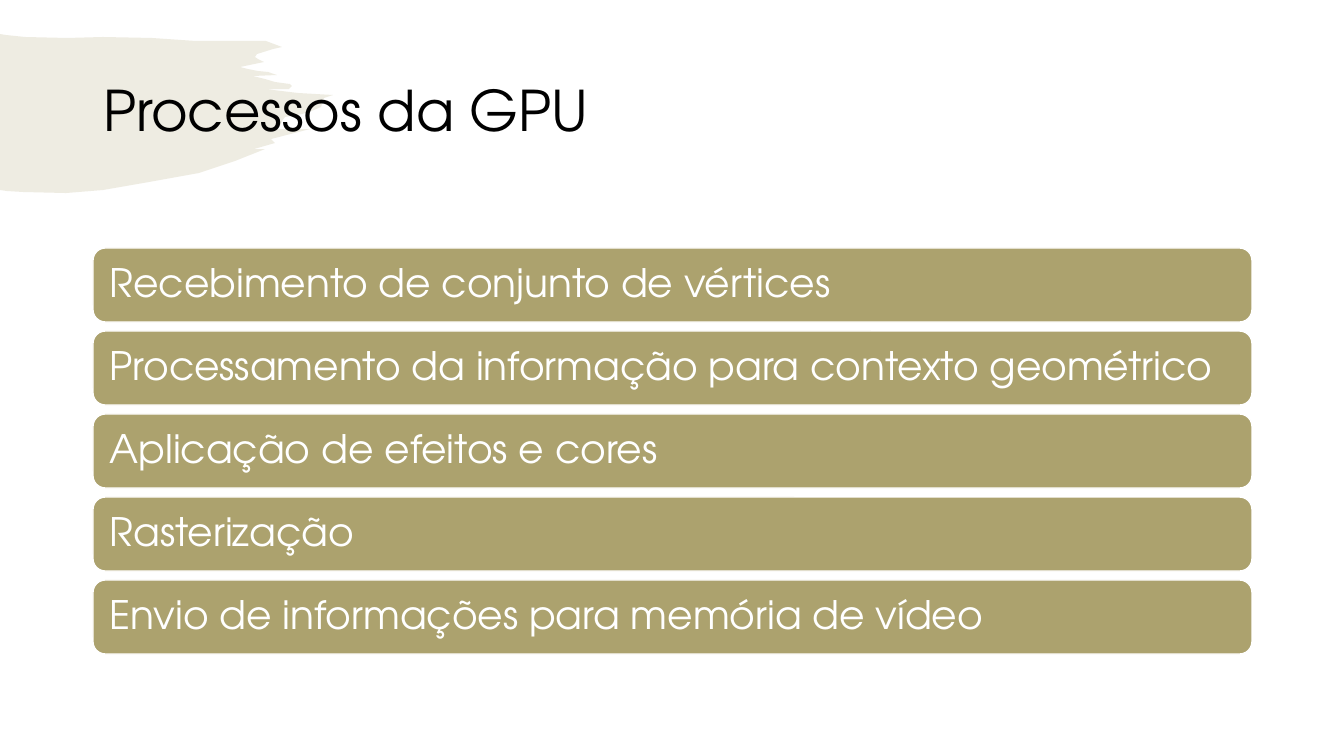
"""Build the slide on the processing steps of a GPU."""
from lxml import etree
from pptx import Presentation, util as u
from pptx.dml.color import RGBColor
from pptx.enum import shapes, text
from pptx.oxml import ns

SCALE = 914400 / 100.8
FONT = "TeX Gyre Adventor"
COLORS = {"olive": "ACA26E", "white": "FFFFFF", "black": "000000"}
STEPS = [
    "Recebimento de conjunto de vértices",
    "Processamento da informação para contexto geométrico",
    "Aplicação de efeitos e cores",
    "Rasterização",
    "Envio de informações para memória de vídeo",
]
BRUSH_OUTLINE = [
    (0, 0), (6, 1), (25, 3), (67, 4), (103, 3), (152, 4), (196, 7), (250, 7),
    (266, 7), (282, 13), (273, 15), (257, 20), (255, 23), (258, 25), (264, 28),
    (240, 33), (248, 35), (258, 37), (268, 38), (277, 41), (253, 42), (265, 45),
    (275, 48), (282, 49), (290, 50), (292, 52), (289, 55), (286, 55), (265, 55),
    (298, 59), (333, 61), (324, 64), (321, 73), (309, 78), (302, 80), (285, 83),
    (282, 87), (280, 92), (276, 95), (310, 95), (271, 105), (275, 109),
    (254, 115), (265, 115), (235, 127), (199, 139), (149, 148), (103, 156),
    (66, 159), (23, 158), (7, 157), (0, 156),
]


def px(length):
    """Turn pixels into EMU."""
    return u.Emu(round(length * SCALE))


def color(name):
    """Return a named colour."""
    return RGBColor.from_string(COLORS[name])


def write(shape, wording, size, color_name):
    """Put one left-aligned, vertically centred line into a shape."""
    frame = shape.text_frame
    frame.text = wording
    frame.word_wrap = True
    frame.auto_size = text.MSO_AUTO_SIZE.NONE
    frame.vertical_anchor = text.MSO_ANCHOR.MIDDLE
    paragraph = frame.paragraphs[0]
    paragraph.alignment = text.PP_ALIGN.LEFT
    paragraph.line_spacing = 0.9
    font = paragraph.runs[0].font
    font.name, font.size = FONT, u.Pt(size)
    font.color.rgb = color(color_name)


def add_title(slide, left, top, width, height):
    """Place and format the title placeholder."""
    title = slide.shapes.title
    title.left, title.top, title.width, title.height = map(px, (left, top, width, height))
    write(title, "Processos da GPU", 40, "black")


def add_brush(slide, left, top):
    """Draw the pale brush stroke behind the title."""
    builder = slide.shapes.build_freeform(*BRUSH_OUTLINE[0], scale=SCALE)
    builder.add_line_segments(BRUSH_OUTLINE[1:], close=True)
    brush = builder.convert_to_shape(px(left), px(top))
    brush.shadow.inherit = False
    brush.line.fill.background()
    brush.fill.solid()
    brush.fill.fore_color.rgb = color("olive")
    tint = brush._element.spPr.find(".//" + ns.qn("a:srgbClr"))
    etree.SubElement(tint, ns.qn("a:alpha"), val="20000")
    slide.shapes.title._element.addprevious(brush._element)


def add_steps(slide, left, top, width, height, gap=9):
    """Stack one rounded bar per step, evenly spaced in the box."""
    bar_height = (height - gap * (len(STEPS) - 1)) // len(STEPS)
    for index, step in enumerate(STEPS):
        bar = slide.shapes.add_shape(
            shapes.MSO_SHAPE.ROUNDED_RECTANGLE, px(left),
            px(top + index * (bar_height + gap)), px(width), px(bar_height))
        bar.shadow.inherit = False
        bar.fill.solid()
        bar.fill.fore_color.rgb = color("olive")
        bar.line.color.rgb = color("white")
        bar.line.width = u.Pt(1)
        write(bar, step, 28, "white")
        frame = bar.text_frame
        frame.margin_left = frame.margin_right = px(13)
        frame.margin_top = frame.margin_bottom = px(12)


def build():
    """Create the presentation and save it."""
    presentation = Presentation()
    presentation.slide_width, presentation.slide_height = px(1344), px(756)
    slide = presentation.slides.add_slide(presentation.slide_layouts[5])
    add_title(slide, 93, 40, 1159, 146)
    add_brush(slide, 0, 34)
    add_steps(slide, 93, 248, 1159, 406)
    presentation.save("out.pptx")


build()
